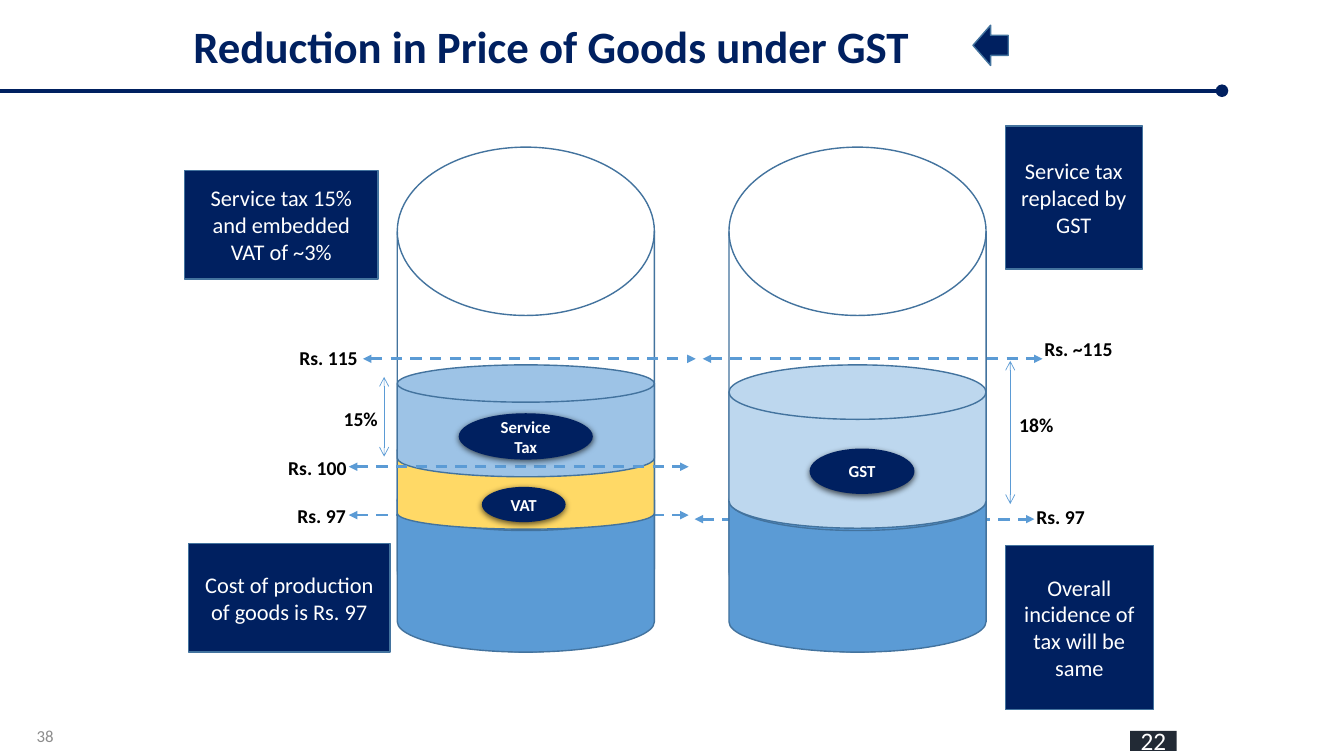
from lxml import etree
from pptx import Presentation
from pptx import util as u
from pptx.dml.color import RGBColor
from pptx.enum import dml, shapes, text
from pptx.oxml import ns

NAVY = RGBColor(0x00, 0x20, 0x60)
EDGE = RGBColor(0x43, 0x73, 0x9E)
BLUE = RGBColor(0x5B, 0x9B, 0xD5)
MID_BLUE = RGBColor(0x9D, 0xC3, 0xE6)
PALE_BLUE = RGBColor(0xBD, 0xD7, 0xEE)
YELLOW = RGBColor(0xFF, 0xD9, 0x66)
SLATE = RGBColor(0x22, 0x2A, 0x35)
GREY = RGBColor(0x8C, 0x8C, 0x8C)
BLACK = RGBColor(0, 0, 0)
WHITE = RGBColor(0xFF, 0xFF, 0xFF)

prs = Presentation()
prs.slide_width, prs.slide_height = u.Inches(13.33), u.Inches(7.5)
col, row = prs.slide_width / 13.33, prs.slide_height / 7.5
s = prs.slides.add_slide(prs.slide_layouts[6])

MSO = shapes.MSO_SHAPE
DISK = MSO.FLOWCHART_MAGNETIC_DISK
CENTER, LEFT, RIGHT = text.PP_ALIGN.CENTER, text.PP_ALIGN.LEFT, text.PP_ALIGN.RIGHT


def add_box(kind, x, y, w, h, fill=None, edge=None, words="", size=16,
            color=WHITE, bold=False, align=CENTER, wrap=True):
    place = int(x * col), int(y * row), int(w * col), int(h * row)
    if kind is None:
        sp = s.shapes.add_textbox(*place)
    else:
        sp = s.shapes.add_shape(kind, *place)
        sp.shadow.inherit = False
        if fill is None:
            sp.fill.background()
        else:
            sp.fill.solid()
            sp.fill.fore_color.rgb = fill
        if edge is None:
            sp.line.fill.background()
        else:
            sp.line.color.rgb = edge
            sp.line.width = u.Pt(1)
    if words:
        tf = sp.text_frame
        tf.word_wrap = wrap
        tf.vertical_anchor = text.MSO_ANCHOR.MIDDLE
        tf.text = words
        for p in tf.paragraphs:
            p.alignment = align
            p.font.name, p.font.size, p.font.bold = "Calibri", u.Pt(size), bold
            p.font.color.rgb = color
    return sp


def add_line(x1, y1, x2, y2, color, width, head, tail, dashed=False):
    c = s.shapes.add_connector(shapes.MSO_CONNECTOR.STRAIGHT, int(x1 * col),
                               int(y1 * row), int(x2 * col), int(y2 * row))
    c.line.color.rgb = color
    c.line.width = u.Pt(width)
    if dashed:
        c.line.dash_style = dml.MSO_LINE.DASH
    ln = c.line._get_or_add_ln()
    for tag, end in (("a:headEnd", head), ("a:tailEnd", tail)):
        etree.SubElement(ln, ns.qn(tag)).set("type", end)
    etree.SubElement(c._element.spPr, ns.qn("a:effectLst"))


add_line(0, 0.9, 12.12, 0.9, NAVY, 3, "none", "oval")
add_box(None, 1.82, 0.13, 7.37, 0.64, words="Reduction in Price of Goods under GST",
        size=32, color=NAVY, bold=True, align=LEFT, wrap=False)
add_box(MSO.LEFT_ARROW, 9.65, 0.25, 0.35, 0.4, NAVY, EDGE)

for x, y in [(3.46, 5.11), (6.89, 5.15)]:
    add_line(x, y, x + 3.37, y, BLUE, 2, "triangle", "triangle", True)

for x, layers in [
    (3.94, [(4.31, 0.94, YELLOW), (3.62, 1.11, MID_BLUE)]),
    (7.23, [(3.62, 1.62, PALE_BLUE)]),
]:
    for y, h, fill in [(1.46, 5.01, None), (4.66, 1.81, BLUE)] + layers:
        add_box(DISK, x, y, 2.55, h, fill, EDGE)

for x1, x2, y in [(3.6, 6.9, 3.56), (6.97, 10.34, 3.56), (3.46, 6.83, 4.63)]:
    add_line(x1, y, x2, y, BLUE, 2, "triangle", "triangle", True)
for x, y1, y2 in [(3.81, 3.74, 4.53), (10.02, 3.58, 5)]:
    add_line(x, y1, x, y2, BLUE, 0.5, "arrow", "arrow")

for x, y, w, words in [
    (2.87, 3.38, 1.08, "Rs. 115"),
    (3.31, 3.98, 0.57, "15%"),
    (2.76, 4.47, 1.08, "Rs. 100"),
    (2.85, 4.95, 1.08, "Rs. 97"),
    (10.26, 3.29, 1.08, "Rs. ~115"),
    (10.01, 4.04, 0.57, "18%"),
    (10.18, 4.96, 1.08, "Rs. 97"),
]:
    add_box(None, x, y, w, 0.34, words=words, size=14, color=BLACK, bold=True, align=LEFT)

for x, y, w, h, words in [
    (1.83, 1.69, 1.92, 1.08, "Service tax 15% and embedded VAT of ~3%"),
    (1.87, 5.39, 2, 1.08, "Cost of production of goods is Rs. 97"),
    (9.97, 1.25, 1.36, 1.42, "Service tax replaced by GST"),
    (9.97, 5.41, 1.47, 1.63, "Overall incidence of tax will be same"),
]:
    add_box(MSO.RECTANGLE, x, y, w, h, NAVY, EDGE, words)

for x, y, w, h, words in [
    (4.55, 4.1, 1.33, 0.46, "Service\nTax"),
    (4.78, 4.83, 0.83, 0.35, "VAT"),
    (8.03, 4.45, 1.04, 0.45, "GST"),
]:
    sp = add_box(MSO.OVAL, x, y, w, h, NAVY, None, words, 12, bold=True)
    effects = sp._element.spPr.find(ns.qn("a:effectLst"))
    shadow = etree.SubElement(effects, ns.qn("a:outerShdw"), blurRad=str(u.Pt(4.5)),
                              dist=str(u.Pt(1.5)), dir="5400000", rotWithShape="0")
    tint = etree.SubElement(shadow, ns.qn("a:srgbClr"), val="000000")
    etree.SubElement(tint, ns.qn("a:alpha"), val="63000")

add_box(None, 0.03, 7.1, 0.6, 0.4, words="38", size=12, color=GREY, align=RIGHT)
add_box(MSO.RECTANGLE, 11.21, 7.25, 0.46, 0.2, SLATE, None, "22", 18)

prs.save("out.pptx")
